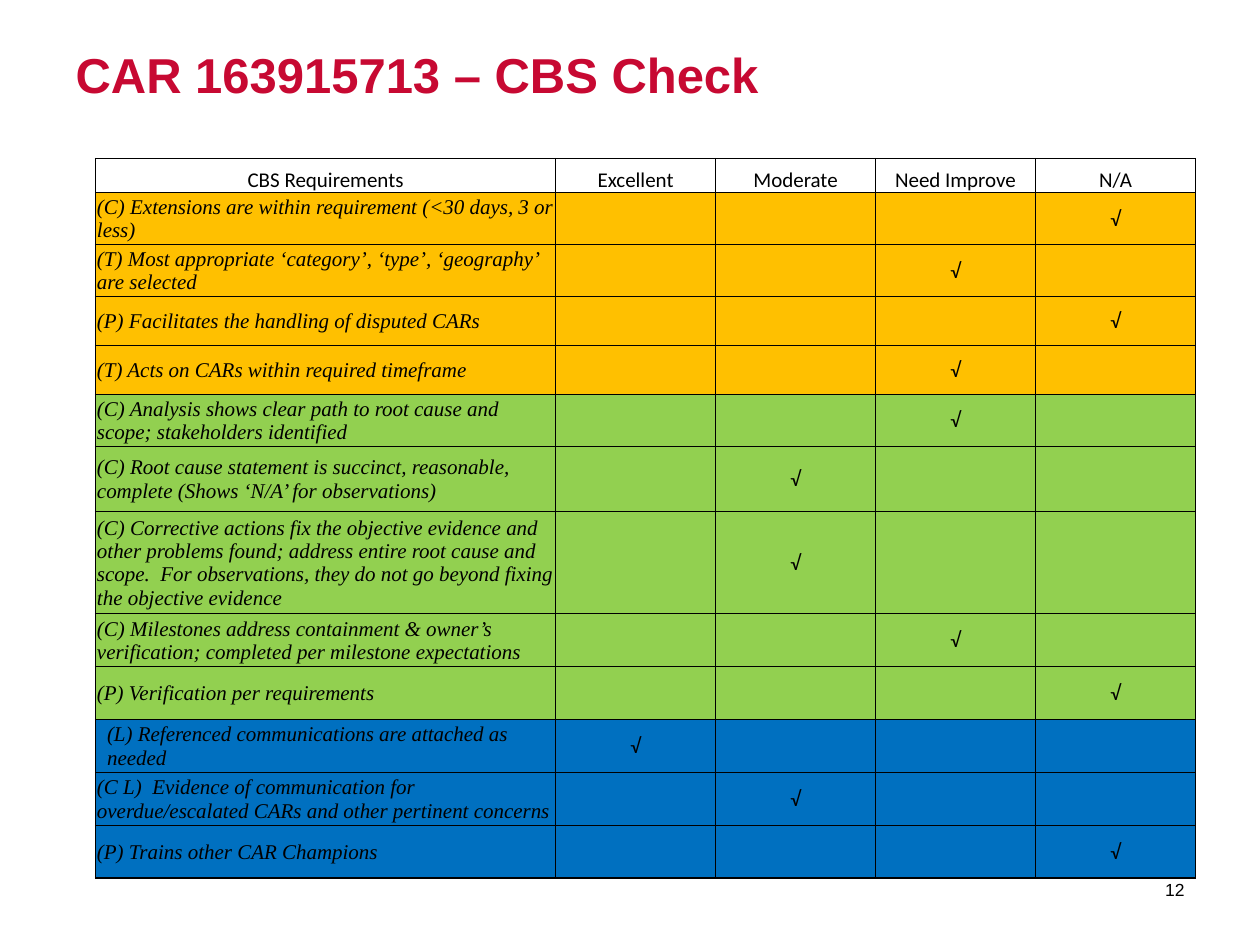
import pptx
import pptx.dml.color
import pptx.enum.text
import pptx.oxml
import pptx.oxml.ns
import pptx.util
from pptx.util import Inches

ALIGN = pptx.enum.text.PP_ALIGN
ANCHOR = pptx.enum.text.MSO_ANCHOR
COLORS = {"title": "C70932", "ink": "000000", "intake": "FFC000",
          "analysis": "92D050", "communication": "0070C0"}

HEADINGS = ["CBS Requirements", "Excellent", "Moderate", "Need Improve", "N/A"]
COLUMN_WIDTHS = [3.65] + [1.27] * 4
HEADING_HEIGHT = 0.27
# group, requirement, rating, row height
REQUIREMENTS = [
    ("intake", "(C) Extensions are within requirement (<30 days, 3 or less)", "N/A", 0.39),
    ("intake", "(T) Most appropriate ‘category’, ‘type’, ‘geography’ are selected",
     "Need Improve", 0.39),
    ("intake", "(P) Facilitates the handling of disputed CARs", "N/A", 0.39),
    ("intake", "(T) Acts on CARs within required timeframe", "Need Improve", 0.39),
    ("analysis", "(C) Analysis shows clear path to root cause and scope; "
     "stakeholders identified", "Need Improve", 0.39),
    ("analysis", "(C) Root cause statement is succinct, reasonable, complete "
     "(Shows ‘N/A’ for observations)", "Moderate", 0.52),
    ("analysis", "(C) Corrective actions fix the objective evidence and other problems "
     "found; address entire root cause and scope.  For observations, they do not go "
     "beyond fixing the objective evidence", "Moderate", 0.76),
    ("analysis", "(C) Milestones address containment & owner’s verification; "
     "completed per milestone expectations", "Need Improve", 0.42),
    ("analysis", "(P) Verification per requirements", "N/A", 0.42),
    ("communication", "(L) Referenced communications are attached as needed",
     "Excellent", 0.42),
    ("communication", "(C L)  Evidence of communication for overdue/escalated CARs "
     "and other pertinent concerns", "Moderate", 0.42),
    ("communication", "(P) Trains other CAR Champions", "N/A", 0.42),
]
INDENTED = "(L)"


def rgb(name):
    return pptx.dml.color.RGBColor.from_string(COLORS[name])


def write(frame, text, font="Calibri", size=12, color="ink", align=ALIGN.LEFT,
          bold=False, italic=False):
    paragraph = frame.paragraphs[0]
    paragraph.alignment = align
    run = paragraph.add_run()
    run.text = text
    run.font.name = font
    run.font.size = pptx.util.Pt(size)
    run.font.bold = bold
    run.font.italic = italic
    run.font.color.rgb = rgb(color)


def add_borders(cell, widths):
    """Draw the cell's sides; widths maps L, R, T, B, in that order, to points."""
    properties = cell._tc.get_or_add_tcPr()
    for side, width in widths.items():
        properties.append(pptx.oxml.parse_xml(
            f'<a:ln{side} {pptx.oxml.ns.nsdecls("a")} w="{pptx.util.Pt(width)}">'
            f'<a:solidFill><a:srgbClr val="{COLORS["ink"]}"/></a:solidFill>'
            f'</a:ln{side}>'))


def add_checklist(slide):
    heights = [HEADING_HEIGHT] + [height for *_, height in REQUIREMENTS]
    table = slide.shapes.add_table(
        len(heights), len(HEADINGS), Inches(0.76), Inches(1.26),
        Inches(sum(COLUMN_WIDTHS)), Inches(sum(heights))).table
    table.first_row = table.horz_banding = False
    for column, width in zip(table.columns, COLUMN_WIDTHS):
        column.width = Inches(width)
    last_row, last_column = len(heights) - 1, len(HEADINGS) - 1

    for r, height in enumerate(heights):
        table.rows[r].height = Inches(height)
        for c, heading in enumerate(HEADINGS):
            cell = table.cell(r, c)
            cell.margin_left = cell.margin_right = cell.margin_top = Inches(0.01)
            cell.margin_bottom = 0
            cell.vertical_anchor = ANCHOR.MIDDLE if r else ANCHOR.BOTTOM
            add_borders(cell, {"L": 1 if c == 0 else 0.5,
                               "R": 1 if c == last_column else 0.5,
                               "T": 1 if r == 0 else 0.5,
                               "B": 1 if r == last_row else 0.5})
            if r == 0:
                cell.fill.background()
                write(cell.text_frame, heading, align=ALIGN.CENTER)
                continue
            group, requirement, rating, _ = REQUIREMENTS[r - 1]
            cell.fill.solid()
            cell.fill.fore_color.rgb = rgb(group)
            if c == 0:
                write(cell.text_frame, requirement, font="Times New Roman", italic=True)
                if requirement.startswith(INDENTED):
                    cell.margin_left = Inches(0.09)
            elif heading == rating:
                write(cell.text_frame, "√", align=ALIGN.CENTER)


def main():
    deck = pptx.Presentation()
    deck.slide_width, deck.slide_height = Inches(10), Inches(7.5)
    slide = deck.slides.add_slide(deck.slide_layouts[5])

    title = slide.shapes.title
    title.left, title.top = Inches(0.5), Inches(0.3)
    title.width, title.height = Inches(9), Inches(1.25)
    title.text_frame.vertical_anchor = ANCHOR.TOP
    write(title.text_frame, "CAR 163915713 – CBS Check", font="Arial", size=28,
          color="title", bold=True)

    page_number = slide.shapes.add_textbox(
        Inches(8.8), Inches(6.86), Inches(0.7), Inches(0.4)).text_frame
    page_number.word_wrap = True
    page_number.vertical_anchor = ANCHOR.MIDDLE
    write(page_number, "12", font="Arial", size=10, align=ALIGN.RIGHT)

    add_checklist(slide)
    deck.save("out.pptx")


if __name__ == "__main__":
    main()
